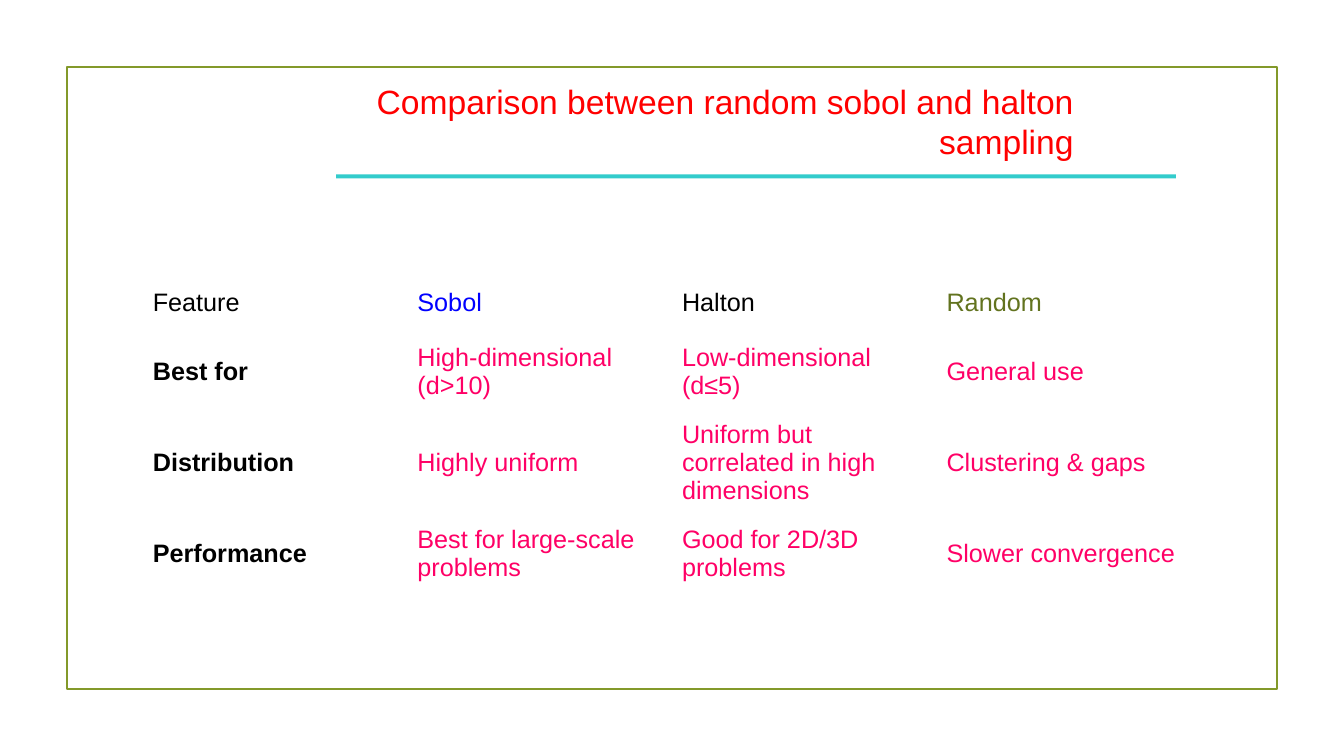
from dataclasses import dataclass
from typing import Optional

from pptx import Presentation
from pptx import util as u
from pptx.dml.color import RGBColor
from pptx.enum import shapes, text

COLORS = {
    "frame": "83992A",
    "title": "FF0000",
    "rule": "33CCCC",
    "label": "000000",
    "sobol": "0000FF",
    "random": "62731F",
    "finding": "FF0066",
}
FONT = "Arial"
SLIDE_WIDTH, SLIDE_HEIGHT = u.Inches(13.33), u.Inches(7.5)
GRID_COLUMNS, GRID_ROWS = 160, 90
TITLE = "Comparison between random sobol and halton sampling"
METHODS = [("Feature", "label"), ("Sobol", "sobol"), ("Halton", "label"), ("Random", "random")]
FEATURES = [
    ("Best for", "High-dimensional (d>10)", "Low-dimensional (d≤5)", "General use"),
    ("Distribution", "Highly uniform", "Uniform but correlated in high dimensions", "Clustering & gaps"),
    ("Performance", "Best for large-scale problems", "Good for 2D/3D problems", "Slower convergence"),
]
HEADER_ROWS, FEATURE_ROWS = 6, 10.44


@dataclass(frozen=True)
class Area:
    column: float
    row: float
    columns: float
    rows: float

    def box(self) -> tuple[int, int, int, int]:
        return across(self.column), down(self.row), across(self.columns), down(self.rows)


@dataclass(frozen=True)
class Panel:
    area: Area
    fill: Optional[str] = None
    line: Optional[str] = None


@dataclass(frozen=True)
class Entry:
    wording: str
    color: str
    bold: bool = False


TITLE_AREA = Area(27, 9, 102, 6)
COMPARISON_AREA = Area(17, 33, 126, HEADER_ROWS + len(FEATURES) * FEATURE_ROWS)
PANELS = [
    Panel(Area(8, 8, 144, 74), line="frame"),
    Panel(Area(40, 20.75, 100, 0.5), fill="rule"),
]


def across(columns: float) -> int:
    return round(SLIDE_WIDTH * columns / GRID_COLUMNS)


def down(rows: float) -> int:
    return round(SLIDE_HEIGHT * rows / GRID_ROWS)


def rgb(name: str) -> RGBColor:
    return RGBColor.from_string(COLORS[name])


def add_run(paragraph, entry: Entry, size: float) -> None:
    run = paragraph.add_run()
    run.text = entry.wording
    run.font.name = FONT
    run.font.size = u.Pt(size)
    run.font.bold = entry.bold
    run.font.color.rgb = rgb(entry.color)


def draw_panel(slide, panel: Panel) -> None:
    rectangle = slide.shapes.add_shape(shapes.MSO_SHAPE.RECTANGLE, *panel.area.box())
    rectangle.shadow.inherit = False
    if panel.fill:
        rectangle.fill.solid()
        rectangle.fill.fore_color.rgb = rgb(panel.fill)
    else:
        rectangle.fill.background()
    if panel.line:
        rectangle.line.color.rgb = rgb(panel.line)
        rectangle.line.width = u.Pt(1.25)
    else:
        rectangle.line.fill.background()


def draw_title(slide) -> None:
    title = slide.shapes.title
    title.left, title.top, title.width, title.height = TITLE_AREA.box()
    frame = title.text_frame
    frame.word_wrap = True
    frame.auto_size = text.MSO_AUTO_SIZE.NONE
    frame.vertical_anchor = text.MSO_ANCHOR.TOP
    heading = frame.paragraphs[0]
    heading.alignment = text.PP_ALIGN.RIGHT
    properties = heading._p.get_or_add_pPr()
    properties.set("marL", str(u.Inches(0.38)))
    properties.set("indent", str(-u.Inches(0.38)))
    add_run(heading, Entry(TITLE, "title"), 24)


def draw_comparison(slide) -> None:
    entries = [[Entry(method, color) for method, color in METHODS]]
    for label, *findings in FEATURES:
        entries.append([Entry(label, "label", True)] + [Entry(finding, "finding") for finding in findings])
    comparison = slide.shapes.add_table(len(entries), len(METHODS), *COMPARISON_AREA.box()).table
    comparison.first_row = False
    comparison.horz_banding = False
    for column in comparison.columns:
        column.width = across(COMPARISON_AREA.columns / len(METHODS))
    for index, row_entries in enumerate(entries):
        comparison.rows[index].height = down(FEATURE_ROWS if index else HEADER_ROWS)
        for position, entry in enumerate(row_entries):
            cell = comparison.cell(index, position)
            cell.fill.background()
            cell.vertical_anchor = text.MSO_ANCHOR.MIDDLE
            add_run(cell.text_frame.paragraphs[0], entry, 18)


def main() -> None:
    deck = Presentation()
    deck.slide_width, deck.slide_height = SLIDE_WIDTH, SLIDE_HEIGHT
    slide = deck.slides.add_slide(deck.slide_layouts.get_by_name("Title Only"))
    for panel in PANELS:
        draw_panel(slide, panel)
    draw_title(slide)
    draw_comparison(slide)
    deck.save("out.pptx")


if __name__ == "__main__":
    main()
